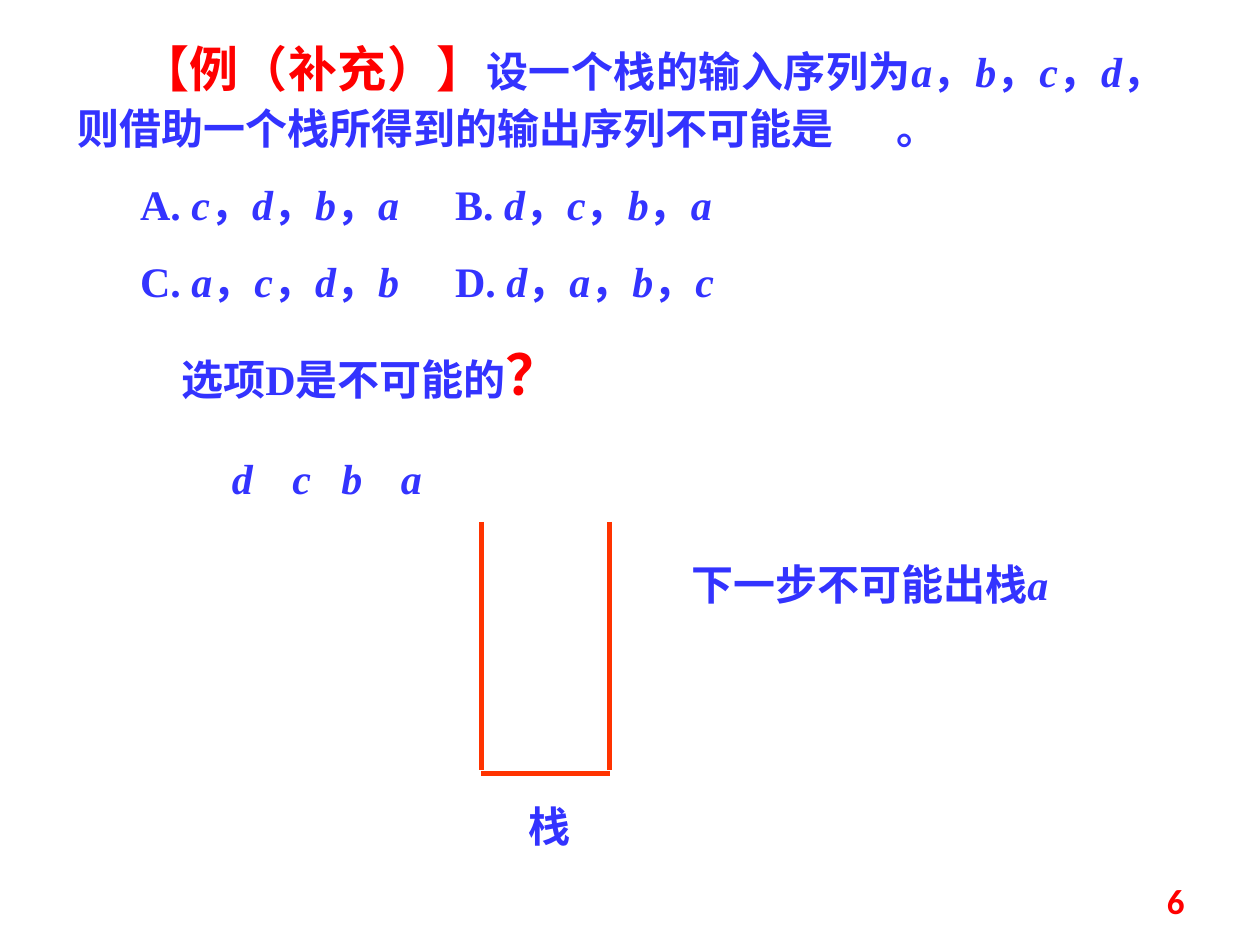
from dataclasses import dataclass

import pptx
import pptx.dml.color
import pptx.enum.shapes
import pptx.enum.text
import pptx.oxml
import pptx.oxml.ns
import pptx.util
from pptx.util import Cm, Pt

ALIGN = pptx.enum.text.PP_ALIGN
ANCHOR = pptx.enum.text.MSO_ANCHOR
BLUE, RED, ORANGE = "3333FF", "FF0000", "FF3300"
BASE = {"name": "Times New Roman", "size": Pt(24), "bold": True, "italic": False}


@dataclass
class Run:
    text: str
    color: str = BLUE
    size: int = 24
    italic: bool = False
    underline: bool = False
    font: str = "Times New Roman"


@dataclass
class Label:
    left: float
    top: float
    width: float
    height: float
    runs: list[Run]
    align: int = ALIGN.CENTER
    tight: bool = False
    anchor: int = ANCHOR.TOP


@dataclass
class Wall:
    x1: float
    y1: float
    x2: float
    y2: float


def rgb(color: str) -> pptx.dml.color.RGBColor:
    return pptx.dml.color.RGBColor.from_string(color)


def add_runs(p, runs: list[Run]) -> None:
    for run in runs:
        r = p.add_run()
        r.text = run.text
        formats = BASE | {"name": run.font, "size": Pt(run.size),
                          "italic": run.italic, "underline": run.underline}
        for key, value in formats.items():
            setattr(r.font, key, value)
        r.font.color.rgb = rgb(run.color)


def sequence(letters: str) -> list[Run]:
    """Italic letters with upright full-width commas between them."""
    runs = []
    for letter in letters:
        runs += [Run("，"), Run(letter, italic=True)]
    return runs[1:]


def set_layout(p, indent: float, tabs: list[float]) -> None:
    """Turn the bullet off, and set the first-line indent and tab stops in cm."""
    pPr = p._p.get_or_add_pPr()
    pPr.set("marL", "0")
    pPr.set("indent", str(Cm(indent)))
    stops = "".join(f'<a:tab pos="{Cm(tab)}" algn="l"/>' for tab in tabs)
    ns = pptx.oxml.ns.nsdecls("a")
    for xml in (f"<a:buNone {ns}/>", f"<a:tabLst {ns}>{stops}</a:tabLst>"):
        pPr.append(pptx.oxml.parse_xml(xml))
    p.alignment = ALIGN.JUSTIFY
    p.line_spacing = 1.1


def fill_question(sp) -> None:
    sp.left, sp.top, sp.width, sp.height = Cm(1.3), Cm(0.53), Cm(22.43), Cm(5.99)
    tf = sp.text_frame
    tf.auto_size = pptx.enum.text.MSO_AUTO_SIZE.NONE
    p = tf.paragraphs[0]
    set_layout(p, 1.27, [18.24])
    p.space_before = Pt(0)
    add_runs(p, [Run("【例（补充）】", RED, 28), Run("设一个栈的输入序列为"),
                 *sequence("abcd"), Run("，则借助一个栈所得到的输出序列不可能是"),
                 Run("\t", underline=True), Run("。")])
    for row in ((("A", "cdba"), ("B", "dcba")), (("C", "acdb"), ("D", "dabc"))):
        p = tf.add_paragraph()
        set_layout(p, 0, [2.54, 12.7])
        p.space_before = Pt(12)
        for name, letters in row:
            add_runs(p, [Run(f"\t{name}. "), *sequence(letters)])


def add_label(s, label: Label) -> None:
    box = s.shapes.add_textbox(Cm(label.left), Cm(label.top), Cm(label.width), Cm(label.height))
    tf = box.text_frame
    tf.word_wrap = True
    tf.vertical_anchor = label.anchor
    if label.tight:
        for side in ("left", "top", "right", "bottom"):
            setattr(tf, f"margin_{side}", 0)
    p = tf.paragraphs[0]
    p.alignment = label.align
    add_runs(p, label.runs)


def add_wall(s, wall: Wall) -> None:
    line = s.shapes.add_connector(pptx.enum.shapes.MSO_CONNECTOR.STRAIGHT,
                                  Cm(wall.x1), Cm(wall.y1), Cm(wall.x2), Cm(wall.y2))
    line.line.color.rgb = rgb(ORANGE)
    line.line.width = Pt(3)
    line._element.spPr.append(
        pptx.oxml.parse_xml(f"<a:effectLst {pptx.oxml.ns.nsdecls('a')}/>"))


LEFT, RIGHT, TOP, BOTTOM = 9.7, 12.29, 10.52, 15.6
WALLS = [Wall(LEFT, TOP, LEFT, 15.52), Wall(RIGHT, TOP, RIGHT, 15.52),
         Wall(LEFT, BOTTOM, RIGHT, BOTTOM)]

INPUT_LETTERS = [("a", 7.7), ("b", 6.5), ("c", 5.49), ("d", 4.29)]
LABELS = [Label(x, 9.12, 1.19, 1.02, [Run(letter, italic=True)], tight=True)
          for letter, x in INPUT_LETTERS]
LABELS += [
    Label(2.69, 6.71, 9.6, 1.63, [Run("选项D是不可能的"), Run("？", RED, 32)]),
    Label(10.49, 16.13, 1.19, 1.02, [Run("栈")], tight=True),
    Label(13.69, 11.13, 8.81, 1.27,
          [Run("下一步不可能出栈"), Run("a", italic=True)], ALIGN.LEFT),
    Label(18.21, 17.65, 5.92, 1.02, [Run("6", RED, 20, font="Calibri")],
          ALIGN.RIGHT, anchor=ANCHOR.MIDDLE),
]


def main() -> None:
    prs = pptx.Presentation()
    prs.slide_width, prs.slide_height = Cm(25.4), Cm(19.05)
    s = prs.slides.add_slide(prs.slide_layouts[1])
    title = s.shapes.title._element
    title.getparent().remove(title)
    fill_question(s.placeholders[1])
    for wall in WALLS:
        add_wall(s, wall)
    for label in LABELS:
        add_label(s, label)
    prs.save("out.pptx")


if __name__ == "__main__":
    main()
